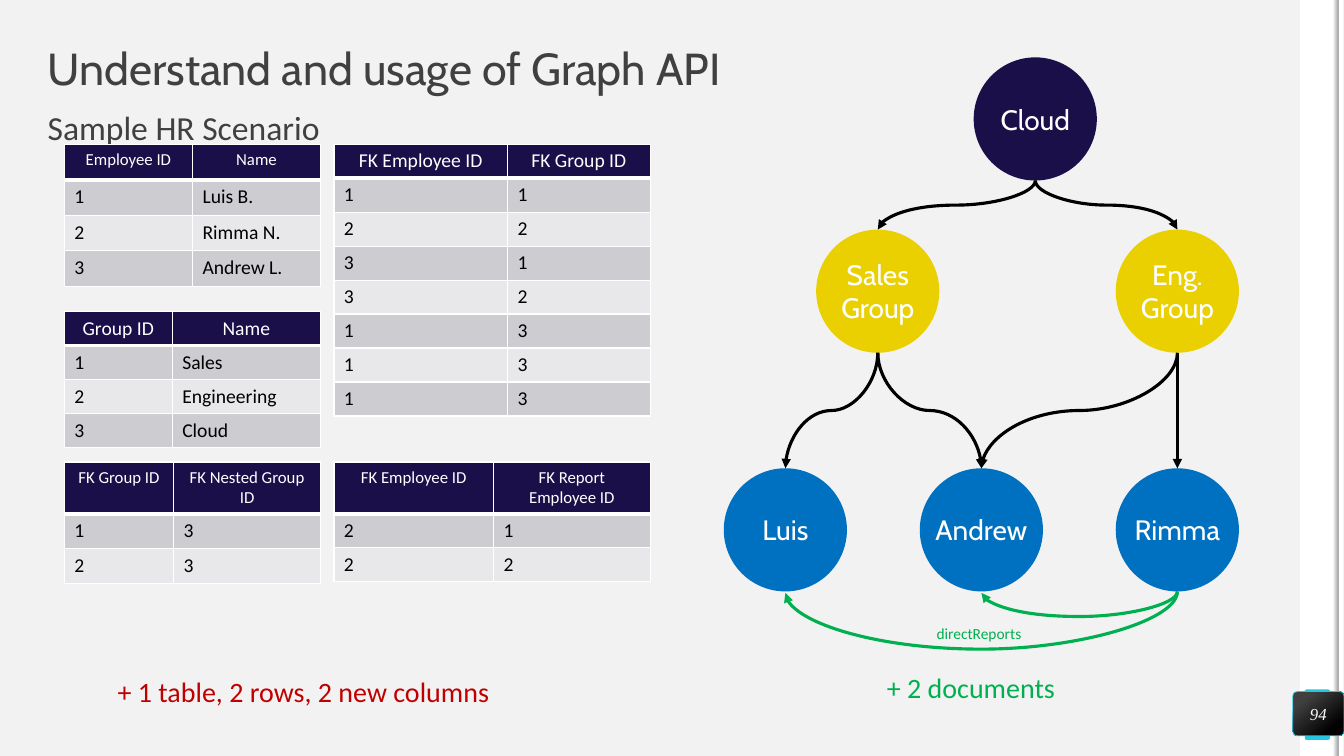
from typing import NamedTuple

from lxml import etree
from pptx import Presentation
from pptx.dml.color import RGBColor
from pptx.enum.shapes import MSO_CONNECTOR, MSO_SHAPE
from pptx.enum.text import MSO_ANCHOR, MSO_AUTO_SIZE, PP_ALIGN
from pptx.oxml.ns import qn
from pptx.util import Pt

CURVE, STRAIGHT = MSO_CONNECTOR.CURVE, MSO_CONNECTOR.STRAIGHT
ELLIPSE, RECTANGLE, ROUNDED = MSO_SHAPE.OVAL, MSO_SHAPE.RECTANGLE, MSO_SHAPE.ROUNDED_RECTANGLE
LEFT, CENTER = PP_ALIGN.LEFT, PP_ALIGN.CENTER
TOP, MIDDLE = MSO_ANCHOR.TOP, MSO_ANCHOR.MIDDLE
NO_FIT, GROW = MSO_AUTO_SIZE.NONE, MSO_AUTO_SIZE.SHAPE_TO_FIT_TEXT

COLORS = {
    "background": "F2F2F2", "white": "FFFFFF", "black": "000000", "text": "404040",
    "navy": "1A0F49", "odd": "CDCCD0", "even": "E8E7E9", "yellow": "EAD000",
    "blue": "0070C0", "green": "00B050", "red": "C00000", "cyan": "25C6E3", "grey": "A6A6A6",
}
DIAMETER = 88


class Box(NamedTuple):
    left: float
    top: float
    width: float
    height: float

    def inner(self, left, top, width, height):
        return Box(self.left + left, self.top + top, width, height)

    def lengths(self):
        return [Pt(value) for value in self]


def rgb(name):
    return RGBColor.from_string(COLORS[name])


def style_paragraph(paragraph, size, color, font="Calibri", align=LEFT):
    paragraph.alignment = align
    paragraph.font.name = font
    paragraph.font.size = Pt(size)
    paragraph.font.color.rgb = rgb(color)


def fill_frame(shape, text, size, color, font="Calibri", align=LEFT, anchor=TOP, fit=NO_FIT, wrap=True):
    frame = shape.text_frame
    frame.margin_left = frame.margin_right = frame.margin_top = frame.margin_bottom = 0
    frame.vertical_anchor, frame.auto_size, frame.word_wrap = anchor, fit, wrap
    frame.text = text
    for paragraph in frame.paragraphs:
        style_paragraph(paragraph, size, color, font, align)
    return frame.paragraphs[0]


def add_label(slide, box, text, size, color, **options):
    label = slide.shapes.add_textbox(*box.lengths())
    fill_frame(label, text, size, color, fit=GROW, **options)


def add_filled(slide, kind, box, color, gradient=None):
    shape = slide.shapes.add_shape(kind, *box.lengths())
    shape.shadow.inherit = False
    shape.line.fill.background()
    if gradient:
        angle, ends = gradient
        shape.fill.gradient()
        shape.fill.gradient_angle = angle
        for stop, (position, name) in zip(shape.fill.gradient_stops, ends):
            stop.position = position
            stop.color.rgb = rgb(name)
    else:
        shape.fill.solid()
        shape.fill.fore_color.rgb = rgb(color)
    return shape


# Right-hand band with the page number
def add_side_band(slide, box):
    add_filled(slide, RECTANGLE, box.inner(5, 0, 28, box.height), "white")
    tab = add_filled(slide, ROUNDED, box.inner(8.5, 492.5, 18, 36), "cyan")
    tab.adjustments[0] = 0.07
    add_filled(slide, RECTANGLE, box.inner(32.5, 0, 3.5, box.height), "white")
    add_filled(slide, RECTANGLE, box.inner(29, 0, 3.5, box.height), None,
               (0, [(0, "background"), (1, "grey")]))
    badge = add_filled(slide, ROUNDED, box.inner(0, 494, 36.5, 31.5), None,
                       (310, [(0.2, "text"), (0.82, "black")]))
    badge.adjustments[0] = 0.1
    badge.line.color.rgb = rgb("cyan")
    badge.line.width = Pt(0.5)
    number = fill_frame(badge, "94", 12, "white", "Times New Roman", CENTER, MIDDLE)
    number.font.italic = True


# Title and subtitle
def add_heading(slide, box):
    title, subtitle = slide.shapes.title, slide.placeholders[1]
    places = (title, box.inner(0, 0, box.width, 34)), (subtitle, box.inner(0, 45.5, box.width, 28))
    for placeholder, place in places:
        placeholder.left, placeholder.top, placeholder.width, placeholder.height = place.lengths()
    heading = fill_frame(title, "Understand and usage of Graph API", 32, "text", "Cabin", anchor=MIDDLE)
    scenario = fill_frame(subtitle, "Sample HR Scenario", 24, "text")
    heading.line_spacing = scenario.line_spacing = 0.9
    scenario.space_before = Pt(10)
    properties = scenario._p.get_or_add_pPr()
    properties.set("marL", "0")
    properties.set("indent", "0")
    etree.SubElement(properties, qn("a:buNone"))


def add_borders(cell, bottom):
    properties = cell._tc.get_or_add_tcPr()
    for side, width in (("L", 1), ("R", 1), ("T", 1), ("B", bottom)):
        line = etree.SubElement(properties, qn("a:ln" + side), w=str(Pt(width)))
        solid = etree.SubElement(line, qn("a:solidFill"))
        etree.SubElement(solid, qn("a:srgbClr"), val=COLORS["white"])


def add_data_table(slide, left, top, widths, heights, header_size, rows):
    header_height, row_height = heights
    box = Box(left, top, sum(widths), header_height + row_height * (len(rows) - 1))
    table = slide.shapes.add_table(len(rows), len(widths), *box.lengths()).table
    for column, width in zip(table.columns, widths):
        column.width = Pt(width)
    for index, values in enumerate(rows):
        header = index == 0
        table.rows[index].height = Pt(header_height if header else row_height)
        fill = "navy" if header else "odd" if index % 2 else "even"
        for cell, value in zip(table.rows[index].cells, values):
            add_borders(cell, 3 if header else 1)
            cell.fill.solid()
            cell.fill.fore_color.rgb = rgb(fill)
            cell.text = value
            paragraph = cell.text_frame.paragraphs[0]
            if header:
                style_paragraph(paragraph, header_size, "white", align=CENTER)
                paragraph.font.bold = False
            else:
                style_paragraph(paragraph, 14, "black")


# Relational side: five tables and their cost
def add_relational_side(slide, box):
    second_column, second_row, third_row = 192.5, 119.5, 227
    tables = [
        (0, 0, (91.5, 91.5), (25.4, 25.4), 12,
         [("Employee ID", "Name"), ("1", "Luis B."), ("2", "Rimma N."), ("3", "Andrew L.")]),
        (second_column, 0, (124, 102), (24, 24), 14,
         [("FK Employee ID", "FK Group ID"), *zip("1233111", "1212333")]),
        (0, second_row, (77, 106), (24, 24), 14,
         [("Group ID", "Name"), ("1", "Sales"), ("2", "Engineering"), ("3", "Cloud")]),
        (0, third_row, (78, 105), (37, 25), 12,
         [("FK Group ID", "FK Nested Group ID"), *zip("12", "33")]),
        (second_column, third_row, (114, 112), (37, 24), 12,
         [("FK Employee ID", "FK Report Employee ID"), *zip("22", "12")]),
    ]
    for left, top, *details in tables:
        add_data_table(slide, box.left + left, box.top + top, *details)
    add_label(slide, box.inner(38, 378.5, 292, 24.5), "+ 1 table, 2 rows, 2 new columns", 20, "red", wrap=False)


def add_arrow(slide, start, end, color, bend=0.5):
    """Arrow that leaves downwards; bend is the turn's share of the drop."""
    (x1, y1), (x2, y2) = start, end
    if x1 == x2:
        arrow = slide.shapes.add_connector(STRAIGHT, Pt(x1), Pt(y1), Pt(x2), Pt(y2))
    else:
        # The curve is laid out sideways, then turned about its centre
        middle_x, middle_y = (x1 + x2) / 2, (y1 + y2) / 2
        half_run, half_drop = abs(x2 - x1) / 2, (y2 - y1) / 2
        side = 1 if x2 > x1 else -1
        arrow = slide.shapes.add_connector(
            CURVE, Pt(middle_x + side * half_drop), Pt(middle_y - half_run),
            Pt(middle_x - side * half_drop), Pt(middle_y + half_run))
        properties = arrow._element.spPr
        properties.find(qn("a:xfrm")).set("rot", str((270 if side > 0 else 90) * 60000))
        guides = properties.find(qn("a:prstGeom")).find(qn("a:avLst"))
        etree.SubElement(guides, qn("a:gd"), name="adj1", fmla=f"val {round(bend * 100000)}")
    arrow.line.color.rgb = rgb(color)
    arrow.line.width = Pt(2.25)
    outline = arrow._element.spPr.find(qn("a:ln"))
    etree.SubElement(outline, qn("a:tailEnd"), type="triangle")
    etree.SubElement(arrow._element.spPr, qn("a:effectLst"))


# Graph side: nodes, membership arrows and reports
def add_graph_side(slide, box):
    nodes = {
        "Cloud": (178.5, 0, "navy"),
        "Sales\nGroup": (66, 123, "yellow"), "Eng.\nGroup": (280, 123, "yellow"),
        "Luis": (0, 293.5, "blue"), "Andrew": (140, 293.5, "blue"), "Rimma": (280, 293.5, "blue"),
    }
    tops, bottoms = {}, {}
    for name, (left, top, color) in nodes.items():
        circle = box.inner(left, top, DIAMETER, DIAMETER)
        add_filled(slide, ELLIPSE, circle, color)
        height = 24.25 * len(name.split("\n"))
        add_label(slide, circle.inner(6, (DIAMETER - height) / 2, DIAMETER - 12, height),
                  name, 20, "white", font="Cabin", align=CENTER)
        center = circle.left + DIAMETER / 2
        tops[name], bottoms[name] = (center, circle.top), (center, circle.top + DIAMETER)

    members = {"Cloud": ["Sales\nGroup", "Eng.\nGroup"], "Sales\nGroup": ["Luis", "Andrew"],
               "Eng.\nGroup": ["Andrew", "Rimma"]}
    for parent, children in members.items():
        for child in children:
            add_arrow(slide, bottoms[parent], tops[child], "black")
    for report, bend in (("Andrew", 18), ("Luis", 41.5)):
        x, y = bottoms[report]
        add_arrow(slide, bottoms["Rimma"], (x, y + 1), "green", bend)

    add_label(slide, box.inner(152, 404.5, 66, 13.5), "directReports", 11, "green", wrap=False)
    add_label(slide, box.inner(116.5, 438, 135.5, 24.5), "+ 2 documents", 20, "green", wrap=False)


def main():
    presentation = Presentation()
    presentation.slide_width, presentation.slide_height = Pt(960), Pt(540)
    slide = presentation.slides.add_slide(presentation.slide_layouts[1])
    slide.background.fill.solid()
    slide.background.fill.fore_color.rgb = rgb("background")
    add_side_band(slide, Box(923.5, 0, 36.5, 540))
    add_heading(slide, Box(34, 34, 892, 74))
    add_relational_side(slide, Box(46, 103, 418.5, 403))
    add_graph_side(slide, Box(517, 41, 368, 463))
    presentation.save("out.pptx")


if __name__ == "__main__":
    main()
